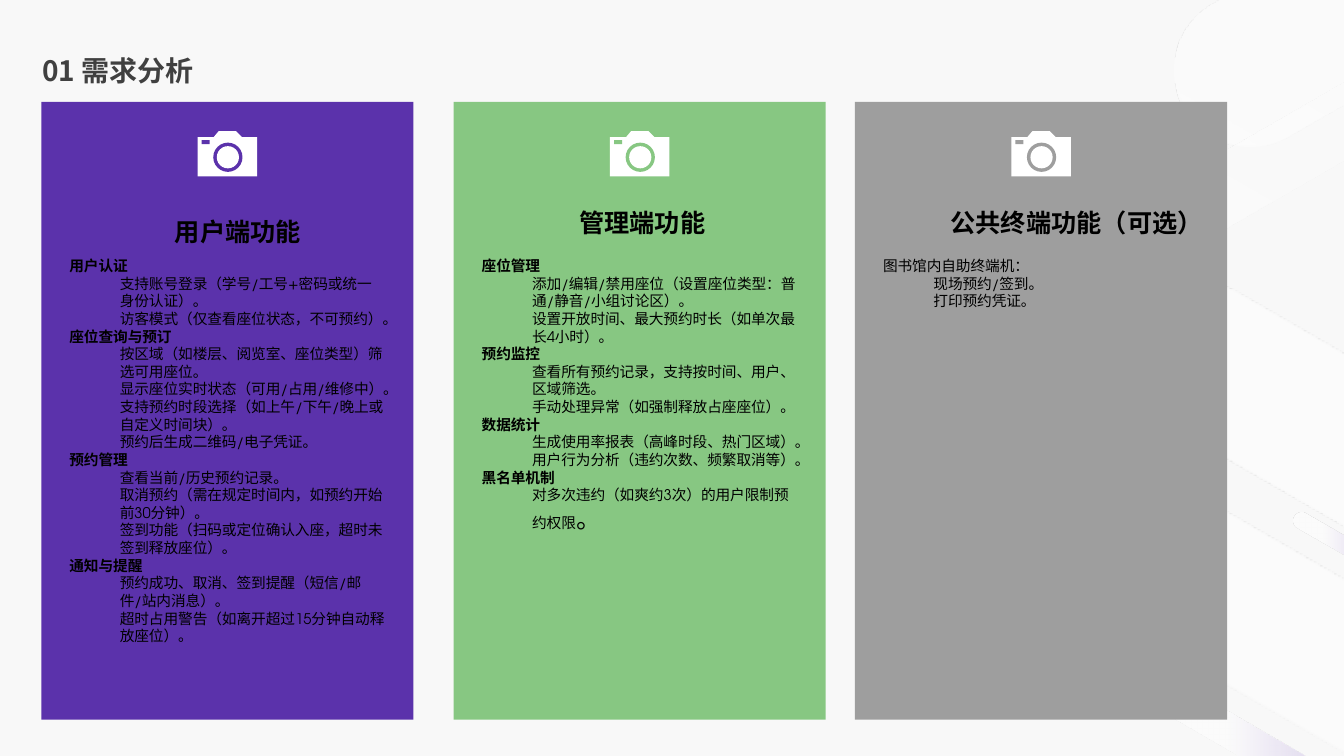
from lxml.etree import SubElement
from pptx import Presentation
from pptx.dml.color import RGBColor
from pptx.enum.shapes import MSO_SHAPE
from pptx.enum.text import MSO_ANCHOR, MSO_AUTO_SIZE, PP_ALIGN
from pptx.oxml.ns import qn
from pptx.util import Inches, Pt

SANS = "Noto Sans CJK SC"
GYRE = "TeX Gyre Adventor"
WHITE = "FFFFFF"

TAIL = [(85, WHITE, 50), (100, WHITE, 50)]
DEEP = [(0, "5B32AB", 100), (23, "5F34B2", 40)] + TAIL
SOFT = [(0, "5B32AB", 50), (23, "5F34B2", 40)] + TAIL
GREEN = [(0, "D0E9CE", 100), (22, "D0E9CE", 50)] + TAIL
MIST = [(0, WHITE, 50), (21, WHITE, 29), (85, WHITE, 0), (100, WHITE, 0)]

BANDS = [
    (9.9, 7.58, 20.55, 1.47, 210, DEEP),
    (10.96, -2.65, 11.87, 1.51, 330, MIST),
    (11.02, 0.68, 5.27, 0.67, 330, MIST),
    (9.68, 9.7, 20.55, 1.47, 210, GREEN),
    (12.68, 5.65, 2.44, 0.17, 210, SOFT),
    (11.31, 7.93, 4.69, 0.33, 210, SOFT),
]

USER = [
    ("用户认证", [
        "支持账号登录（学号/工号+密码或统一身份认证）。",
        "访客模式（仅查看座位状态，不可预约）。"]),
    ("座位查询与预订", [
        "按区域（如楼层、阅览室、座位类型）筛选可用座位。",
        "显示座位实时状态（可用/占用/维修中）。",
        "支持预约时段选择（如上午/下午/晚上或自定义时间块）。",
        "预约后生成二维码/电子凭证。"]),
    ("预约管理", [
        "查看当前/历史预约记录。",
        "取消预约（需在规定时间内，如预约开始前30分钟）。",
        "签到功能（扫码或定位确认入座，超时未签到释放座位）。"]),
    ("通知与提醒", [
        "预约成功、取消、签到提醒（短信/邮件/站内消息）。",
        "超时占用警告（如离开超过15分钟自动释放座位）。"]),
]
ADMIN = [
    ("座位管理", [
        "添加/编辑/禁用座位（设置座位类型：普通/静音/小组讨论区）。",
        "设置开放时间、最大预约时长（如单次最长4小时）。"]),
    ("预约监控", [
        "查看所有预约记录，支持按时间、用户、区域筛选。",
        "手动处理异常（如强制释放占座座位）。"]),
    ("数据统计", [
        "生成使用率报表（高峰时段、热门区域）。",
        "用户行为分析（违约次数、频繁取消等）。"]),
    ("黑名单机制", [
        "对多次违约（如爽约3次）的用户限制预约权限"]),
]
KIOSK = [("图书馆内自助终端机：", ["现场预约/签到。", "打印预约凭证。"])]


def tint(color, code):
    color.rgb = RGBColor.from_string(code)


def paint(shape, code):
    shape.shadow.inherit = False
    shape.line.fill.background()
    shape.fill.solid()
    tint(shape.fill.fore_color, code)


def block(shapes, kind, box, code):
    shape = shapes.add_shape(kind, *map(Inches, box))
    paint(shape, code)
    return shape


def style(run, face, size, code="000000", bold=False):
    font = run.font
    font.name, font.size, font.bold = face, Pt(size), bold
    tint(font.color, code)
    SubElement(font._element, qn("a:ea")).set("typeface", face)


def draw_band(shapes, left, top, width, height, turn, stops):
    band = block(shapes, MSO_SHAPE.ROUNDED_RECTANGLE,
                 (left, top, width, height), WHITE)
    band.adjustments[0] = 0.5
    band.rotation = turn
    band.fill.gradient()
    grad = band._element.spPr.find(qn("a:gradFill"))
    for child in list(grad):
        grad.remove(child)
    group = SubElement(grad, qn("a:gsLst"))
    for spot, code, alpha in stops:
        stop = SubElement(group, qn("a:gs"), pos=str(spot * 1000))
        color = SubElement(stop, qn("a:srgbClr"), val=code)
        if alpha < 100:
            SubElement(color, qn("a:alpha"), val=str(alpha * 1000))
    SubElement(grad, qn("a:lin"), ang=str(330 * 60000), scaled="0")


def draw_title(slide, left, top, width, height):
    title = slide.shapes.title
    title.left, title.top = Inches(left), Inches(top)
    title.width, title.height = Inches(width), Inches(height)
    frame = title.text_frame
    frame.text = "01 需求分析"
    frame.vertical_anchor = MSO_ANCHOR.MIDDLE
    para = frame.paragraphs[0]
    para.alignment = PP_ALIGN.LEFT
    para.line_spacing = 0.9
    style(para.runs[0], SANS, 20, "404040", True)


def draw_icon(shapes, left, top, code):
    edge = [(0.16, 0.06), (0.21, 0), (0.38, 0), (0.44, 0.06),
            (0.59, 0.06), (0.59, 0.45), (0, 0.45), (0, 0.06)]
    spots = [(Inches(left + x), Inches(top + y)) for x, y in edge]
    pen = shapes.build_freeform(*spots[0])
    pen.add_line_segments(spots[1:], close=True)
    paint(pen.convert_to_shape(), WHITE)
    block(shapes, MSO_SHAPE.RECTANGLE,
          (left + 0.04, top + 0.09, 0.08, 0.04), code)
    for size, fill in ((0.29, code), (0.22, WHITE)):
        block(shapes, MSO_SHAPE.OVAL,
              (left + 0.3 - size / 2, top + 0.26 - size / 2, size, size), fill)


def add_text(shapes, box, wrap):
    frame = shapes.add_textbox(*map(Inches, box)).text_frame
    frame.word_wrap = wrap
    frame.auto_size = MSO_AUTO_SIZE.SHAPE_TO_FIT_TEXT
    return frame


def draw_list(frame, parts, bold):
    lines = [(text, level) for head, items in parts
             for text, level in [(head, 0)] + [(item, 1) for item in items]]
    for index, (text, level) in enumerate(lines):
        para = frame.add_paragraph() if index else frame.paragraphs[0]
        para.text = text
        para.level = level
        style(para.runs[0], GYRE, 10.5, bold=bold and level == 0)
    return para


def draw_card(slide, left, top, code, head, spot, parts, bold=True,
              center=True, stop=""):
    shapes = slide.shapes.add_group_shape().shapes
    block(shapes, MSO_SHAPE.RECTANGLE, (left, top, 3.69, 6.13), code)
    draw_icon(shapes, left + 1.55, top + 0.29, code)
    x, y, width, height = spot
    tall = {"用户端功能": 4.23, "管理端功能": 2.88}.get(head, 0.63)
    body = add_text(shapes, (left + 0.18, top + 1.49, 3.34, tall), True)
    last = draw_list(body, parts, bold)
    if stop:
        run = last.add_run()
        run.text = stop
        style(run, GYRE, 18)
    frame = add_text(shapes, (left + x, top + y, width, height), False)
    frame.text = head
    para = frame.paragraphs[0]
    if center:
        para.alignment = PP_ALIGN.CENTER
        para.line_spacing = 1.3
    style(para.runs[0], GYRE, 18, bold=True)


def main():
    deck = Presentation()
    deck.slide_width, deck.slide_height = Inches(13.33), Inches(7.5)
    slide = deck.slides.add_slide(deck.slide_layouts[5])
    slide.background.fill.solid()
    tint(slide.background.fill.fore_color, "F8F8F8")
    for band in BANDS:
        draw_band(slide.shapes, *band)
    draw_title(slide, 0.32, 0.43, 4.99, 0.58)
    draw_card(slide, 0.41, 1.01, "5B32AB", "用户端功能",
              (1.22, 1, 1.46, 0.81), USER)
    draw_card(slide, 4.5, 1.01, "87C782", "管理端功能",
              (1.14, 0.91, 1.46, 0.81), ADMIN, stop="。")
    draw_card(slide, 8.48, 1.01, "9E9E9E", "公共终端功能（可选）",
              (0.85, 1, 2.73, 0.4), KIOSK, bold=False, center=False)
    deck.save("out.pptx")


if __name__ == "__main__":
    main()
